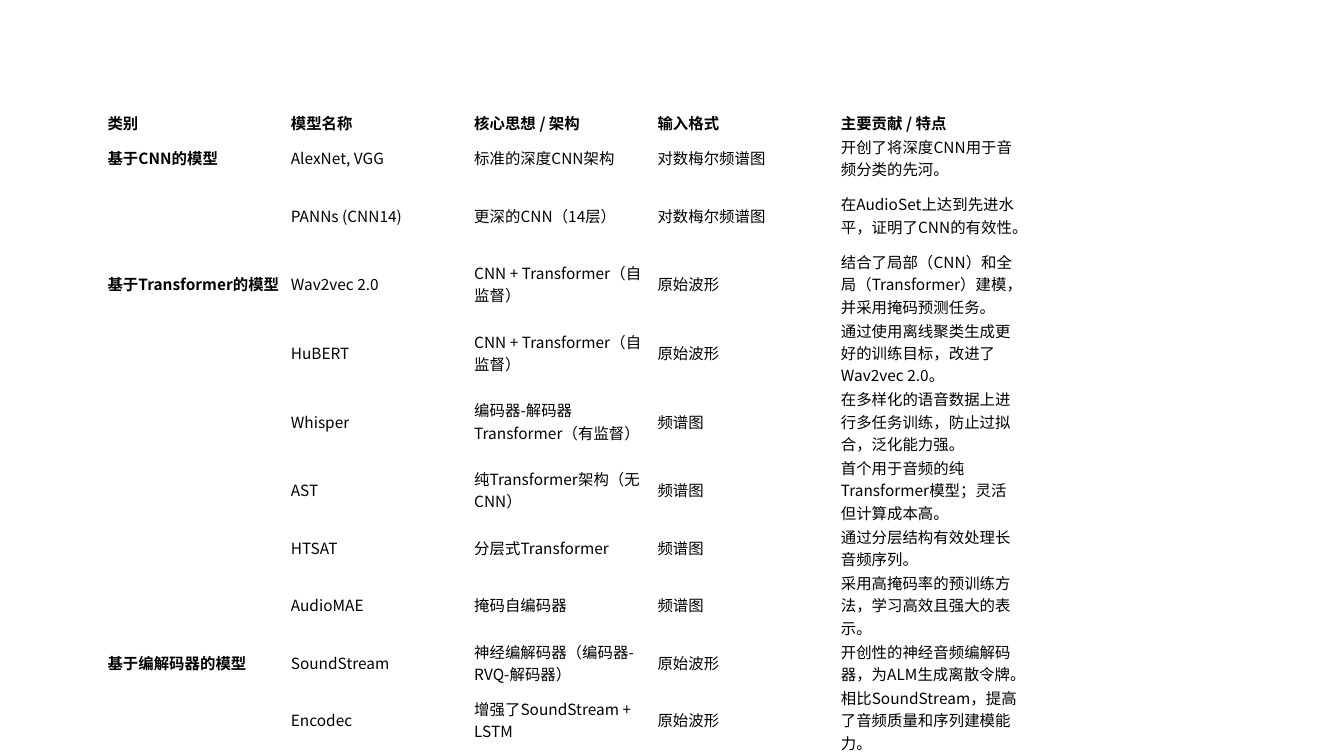
import pptx
import pptx.dml.color
import pptx.enum.text
import pptx.oxml
import pptx.oxml.ns
import pptx.util

Cm = pptx.util.Cm
BLACK = pptx.dml.color.RGBColor(0, 0, 0)
FONT_NAME = "Noto Sans CJK SC"

COLUMN_WIDTH = 4.62
HEADINGS = ("类别", "模型名称", "核心思想 / 架构", "输入格式", "主要贡献 / 特点")
ROW_HEIGHTS = (0.46, 0.89, 1.17, 1.57, 1.3, 1.45, 1.17, 0.74, 1.17, 1.02, 1.17)

# Each category holds its models: name, architecture, input, contribution
CATEGORIES = {
    "基于CNN的模型": (
        ("AlexNet, VGG", "标准的深度CNN架构", "对数梅尔频谱图",
         "开创了将深度CNN用于音频分类的先河。"),
        ("PANNs (CNN14)", "更深的CNN（14层）", "对数梅尔频谱图",
         "在AudioSet上达到先进水平，证明了CNN的有效性。"),
    ),
    "基于Transformer的模型": (
        ("Wav2vec 2.0", "CNN + Transformer（自监督）", "原始波形",
         "结合了局部（CNN）和全局（Transformer）建模，并采用掩码预测任务。"),
        ("HuBERT", "CNN + Transformer（自监督）", "原始波形",
         "通过使用离线聚类生成更好的训练目标，改进了Wav2vec 2.0。"),
        ("Whisper", "编码器-解码器Transformer（有监督）", "频谱图",
         "在多样化的语音数据上进行多任务训练，防止过拟合，泛化能力强。"),
        ("AST", "纯Transformer架构（无CNN）", "频谱图",
         "首个用于音频的纯Transformer模型；灵活但计算成本高。"),
        ("HTSAT", "分层式Transformer", "频谱图",
         "通过分层结构有效处理长音频序列。"),
        ("AudioMAE", "掩码自编码器", "频谱图",
         "采用高掩码率的预训练方法，学习高效且强大的表示。"),
    ),
    "基于编解码器的模型": (
        ("SoundStream", "神经编解码器（编码器-RVQ-解码器）", "原始波形",
         "开创性的神经音频编解码器，为ALM生成离散令牌。"),
        ("Encodec", "增强了SoundStream + LSTM", "原始波形",
         "相比SoundStream，提高了音频质量和序列建模能力。"),
    ),
}

CELL_FORMAT = {
    "margin_left": Cm(0.04),
    "margin_right": Cm(0.04),
    "margin_top": Cm(0.02),
    "margin_bottom": Cm(0.02),
    "vertical_anchor": pptx.enum.text.MSO_ANCHOR.MIDDLE,
}
FONT_FORMAT = {"name": FONT_NAME, "size": pptx.util.Pt(11)}


def apply_format(target, values):
    for name, value in values.items():
        setattr(target, name, value)


def table_rows():
    """Return all rows, naming each category only beside its first model."""
    rows = [HEADINGS]
    for category, models in CATEGORIES.items():
        for index, model in enumerate(models):
            rows.append(("" if index else category, *model))
    return rows


def fill_cell(cell, text, bold):
    cell.fill.background()
    if not text:
        return
    apply_format(cell, CELL_FORMAT)
    span = cell.text_frame.paragraphs[0].add_run()
    span.text = text
    apply_format(span.font, {**FONT_FORMAT, "bold": bold})
    span.font.color.rgb = BLACK
    # East Asian typeface
    east_asian = pptx.oxml.parse_xml(
        f'<a:ea {pptx.oxml.ns.nsdecls("a")} typeface="{FONT_NAME}"/>')
    span.font._element.find(pptx.oxml.ns.qn("a:latin")).addnext(east_asian)


def add_model_table(page):
    rows = table_rows()
    table = page.shapes.add_table(
        len(rows), len(HEADINGS), Cm(2.67), Cm(2.79),
        Cm(COLUMN_WIDTH * len(HEADINGS)), Cm(sum(ROW_HEIGHTS))).table
    apply_format(table, {"first_row": False, "horz_banding": False})
    for column in table.columns:
        column.width = Cm(COLUMN_WIDTH)
    for row_index, (row, height) in enumerate(zip(rows, ROW_HEIGHTS)):
        table.rows[row_index].height = Cm(height)
        for column_index, text in enumerate(row):
            bold = row_index == 0 or column_index == 0
            fill_cell(table.cell(row_index, column_index), text, bold)


def main():
    deck = pptx.Presentation()
    apply_format(deck, {"slide_width": Cm(33.87), "slide_height": Cm(19.05)})
    page = deck.slides.add_slide(deck.slide_layouts[6])
    # Overview of audio models
    add_model_table(page)
    deck.save("out.pptx")


if __name__ == "__main__":
    main()
